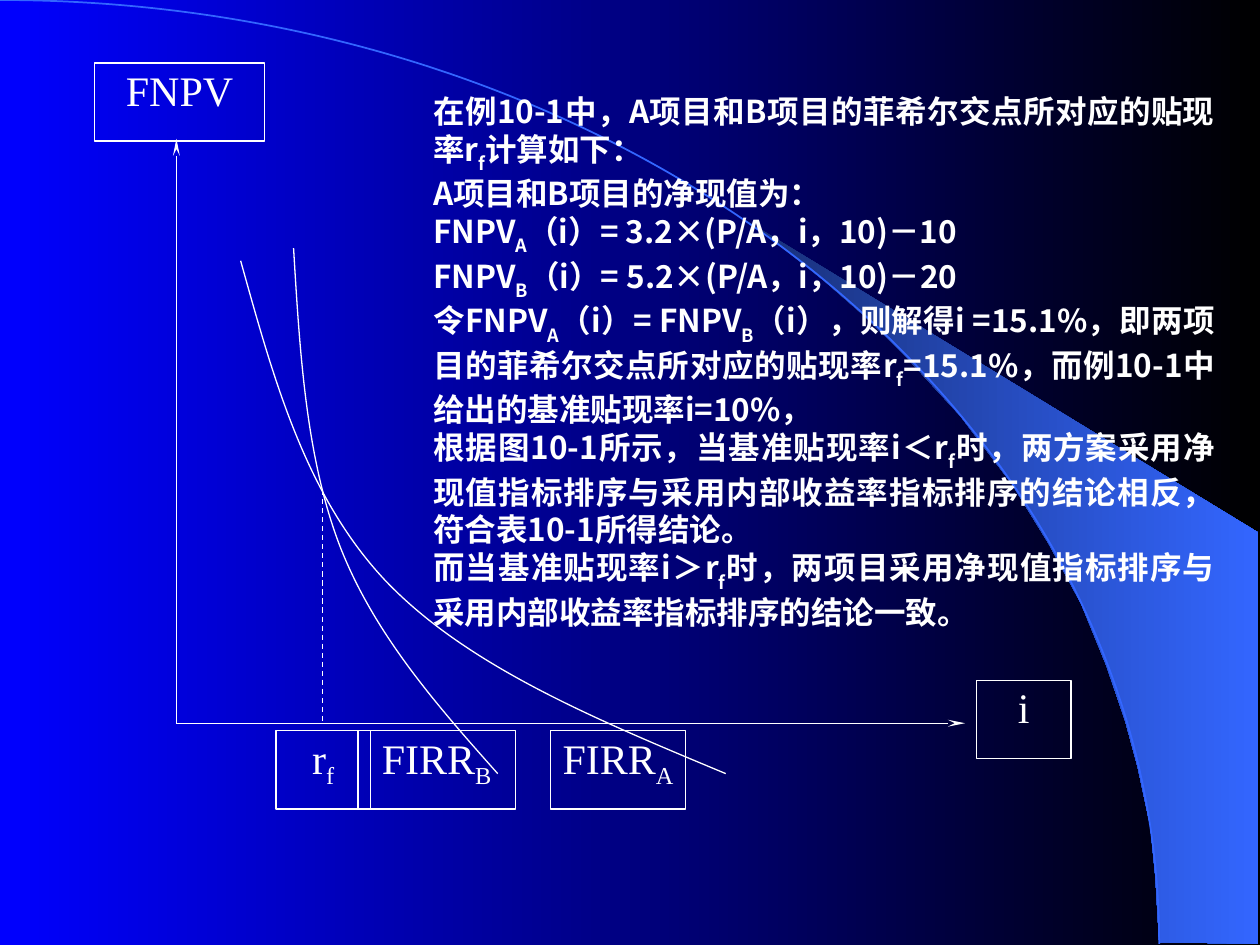
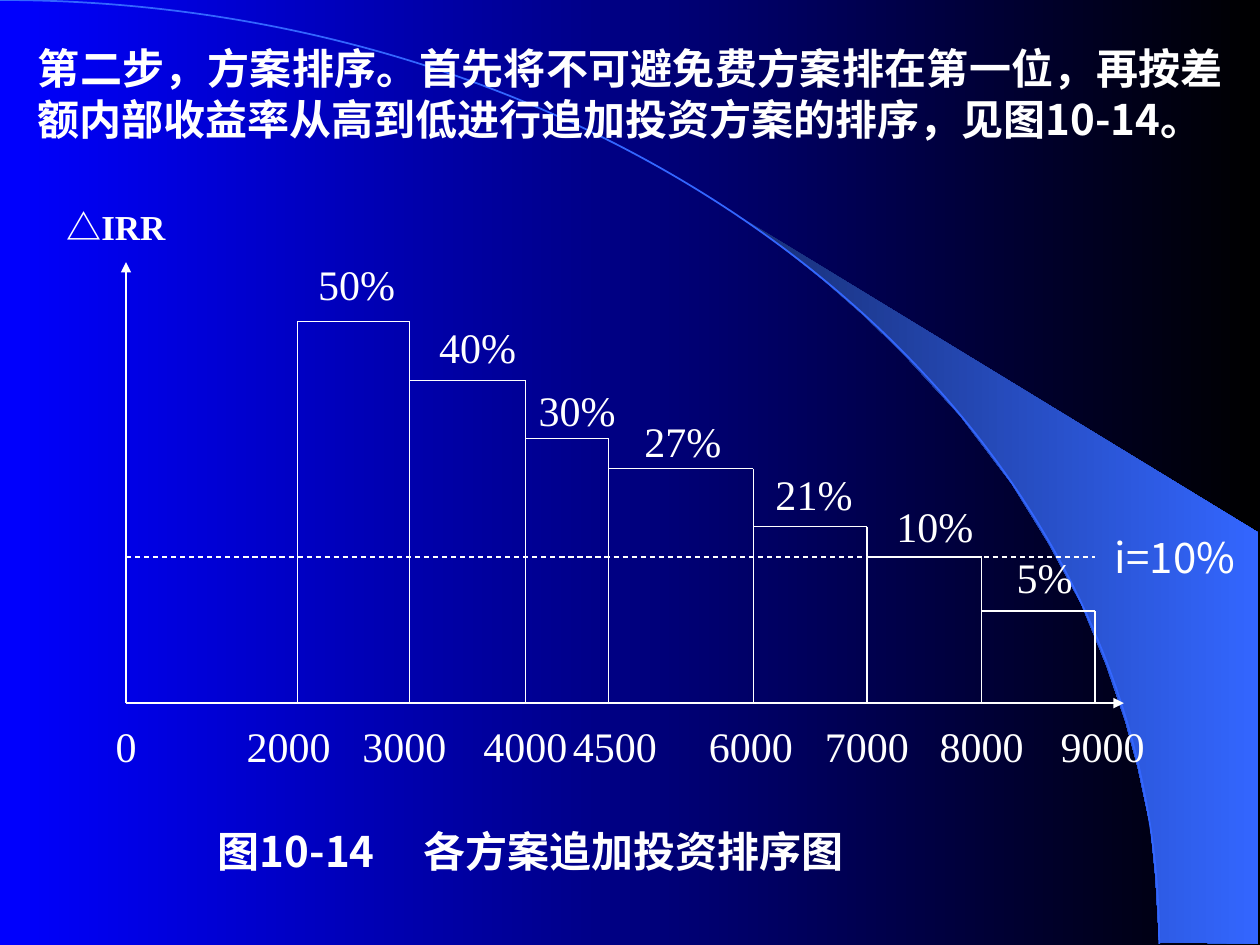
from dataclasses import dataclass

from lxml.etree import SubElement
from pptx import Presentation
from pptx.dml.color import RGBColor
from pptx.enum.dml import MSO_LINE
from pptx.enum.shapes import MSO_CONNECTOR, MSO_SHAPE
from pptx.enum.text import MSO_ANCHOR, MSO_AUTO_SIZE, PP_ALIGN
from pptx.oxml.ns import qn
from pptx.util import Inches, Pt


@dataclass(frozen=True)
class Theme:
    white: str = "FFFFFF"
    blue: str = "0000FF"
    black: str = "000000"
    band_dark: str = "182F76"
    band_light: str = "3366FF"
    sans: str = "Noto Sans CJK SC"
    serif: str = "Times New Roman"
    large: int = 24
    axis_title: int = 20
    body: int = 18
    hairline: float = 0.75
    arc_line: float = 1


THEME = Theme()
CENTER, JUSTIFY, LEFT = PP_ALIGN.CENTER, PP_ALIGN.JUSTIFY, PP_ALIGN.LEFT

# Decoration shared by both slides
BAND = [(9.2, 7.48), (9.99, 7.49), (9.99, 4.23), (5.89, 1.73), (6.24, 1.99),
        (6.53, 2.22), (6.85, 2.5), (7.16, 2.8), (7.62, 3.3), (8.03, 3.84),
        (8.32, 4.31), (8.58, 4.79), (8.78, 5.28), (8.93, 5.72), (9.03, 6.09),
        (9.13, 6.56), (9.17, 6.96)]
ARC = [(0, 0), (5.08, 0), (9.2, 3.35), (9.2, 7.49)]

# Slide 1: text between tildes is subscript
FISHER_TEXT = [
    "在例10-1中，A项目和B项目的菲希尔交点所对应的贴现率r~f~计算如下：",
    "A项目和B项目的净现值为：",
    "FNPV~A~（i）= 3.2×(P/A，i，10)－10",
    "FNPV~B~（i）= 5.2×(P/A，i，10)－20",
    "令FNPV~A~（i）= FNPV~B~（i），则解得i =15.1%，即两项目的菲希尔交点所对应的贴现率r~f~"
    "=15.1%，而例10-1中给出的基准贴现率i=10%，",
    "根据图10-1所示，当基准贴现率i＜r~f~时，两方案采用净现值指标排序与采用内部收益率指标排序的"
    "结论相反，符合表10-1所得结论。",
    "而当基准贴现率i＞r~f~时，两项目采用净现值指标排序与采用内部收益率指标排序的结论一致。",
]
NPV_LABELS = [  # text, left, top, width, side inset
    ("i", 7.75, 5.4, 0.75, 0.02),
    ("FNPV", 0.75, 0.5, 1.35, 0.02),
    ("r~f~", 2.19, 5.8, 0.75, 0.02),
    ("FIRR~B~", 2.84, 5.8, 1.25, 0),
    ("FIRR~A~", 4.37, 5.8, 1.07, 0),
]
NPV_ORIGIN = (1.4, 5.74)
NPV_AXIS_ENDS = [(7.66, 5.74), (1.4, 1.1)]
FISHER_POINT = (2.56, 3.89)
NPV_CURVES = [
    [(1.91, 2.07), (2.17, 3), (2.42, 3.93), (3.06, 4.61),
     (3.71, 5.29), (4.73, 5.71), (5.76, 6.14)],
    [(2.33, 1.97), (2.38, 2.81), (2.43, 3.64), (2.7, 4.34),
     (2.97, 5.03), (3.46, 5.59), (3.95, 6.14)],
]

# Slide 2
RANKING_TITLE = ("第二步，方案排序。首先将不可避免费方案排在第一位，"
                 "再按差额内部收益率从高到低进行追加投资方案的排序，见图10-14。")
CAPTION = "图10-14\t各方案追加投资排序图"
CAPTION_TAB = 1.63
RANK_ORIGIN = (1, 5.58)
RANK_AXIS_ENDS = [(1, 2.08), (8.92, 5.58)]
INVESTMENTS = [  # amount, label centre
    ("0", 1), ("2000", 2.29), ("3000", 3.21), ("4000", 4.17), ("4500", 4.88),
    ("6000", 5.96), ("7000", 6.88), ("8000", 7.79), ("9000", 8.75)]
FIRST_EDGE = 2.36
STEPS = [  # rate, right edge, level, label centre, label top
    ("50%", 3.25, 2.55, 2.83, 2), ("40%", 4.17, 3.02, 3.79, 2.5),
    ("30%", 4.83, 3.48, 4.58, 3), ("27%", 5.98, 3.72, 5.42, 3.25),
    ("21%", 6.88, 4.18, 6.46, 3.67), ("10%", 7.79, 4.42, 7.42, 3.92),
    ("5%", 8.69, 4.85, 8.29, 4.33)]
BASE_RATE_LEVEL = 4.42
LABEL_WIDTH, LABEL_HEIGHT = 0.92, 0.5


def rgb(value):
    return RGBColor.from_string(value)


def set_gradient(fill, start, end):
    fill.gradient()
    fill.gradient_angle = 0
    for stop, colour in zip(fill.gradient_stops, (start, end)):
        stop.color.rgb = rgb(colour)


def style_line(line, colour=THEME.white, width=THEME.hairline):
    line.color.rgb = rgb(colour)
    line.width = Pt(width)


def add_run(paragraph, text, font, size, bold=False, subscript=0):
    run = paragraph.add_run()
    run.text = text
    run.font.size, run.font.bold, run.font.name = Pt(size), bold, font
    run.font.color.rgb = rgb(THEME.white)
    properties = run.font._element
    SubElement(properties, qn("a:ea")).set("typeface", font)
    if subscript:
        properties.set("baseline", str(-1000 * subscript))


def write(frame, paragraphs, font, size, align, bold=False, drop=30):
    """Fill a frame, lowering text between tildes by drop percent."""
    frame.word_wrap = True
    frame.auto_size = MSO_AUTO_SIZE.NONE
    frame.vertical_anchor = MSO_ANCHOR.TOP
    for index, text in enumerate(paragraphs):
        paragraph = frame.add_paragraph() if index else frame.paragraphs[0]
        paragraph.alignment = align
        paragraph._p.get_or_add_pPr().set("hangingPunct", "0")
        for part, piece in enumerate(text.split("~")):
            if piece:
                add_run(paragraph, piece, font, size, bold, drop * (part % 2))


def add_text(slide, box, paragraphs, font=THEME.serif, size=THEME.large,
             align=CENTER, bold=False):
    frame = slide.shapes.add_textbox(*map(Inches, box)).text_frame
    write(frame, paragraphs, font, size, align, bold)
    return frame


def add_label(slide, text, centre, top):
    add_text(slide, (centre - LABEL_WIDTH / 2, top, LABEL_WIDTH, LABEL_HEIGHT), [text])


def add_line(slide, start, end, dashed=False, arrow=None):
    connector = slide.shapes.add_connector(
        MSO_CONNECTOR.STRAIGHT, *map(Inches, (*start, *end)))
    style_line(connector.line)
    if dashed:
        connector.line.dash_style = MSO_LINE.DASH
    properties = connector._element.spPr
    if arrow:
        head = SubElement(properties.find(qn("a:ln")), qn("a:tailEnd"))
        for key, value in arrow.items():
            head.set(key, value)
    SubElement(properties, qn("a:effectLst"))


def add_outline(slide, points, closed=False):
    start, *rest = [tuple(map(Inches, point)) for point in points]
    builder = slide.shapes.build_freeform(*start)
    builder.add_line_segments(rest, close=closed)
    outline = builder.convert_to_shape()
    outline.shadow.inherit = False
    return outline


def add_curve(slide, controls, colour=THEME.white, width=THEME.hairline):
    """Draw a chain of cubic curves whose neighbours share an end point."""
    curve = add_outline(slide, controls)
    segments = list(curve._element.iter(qn("a:lnTo")))
    for first in range(0, len(segments), 3):
        cubic = SubElement(segments[first].getparent(), qn("a:cubicBezTo"))
        for segment in segments[first:first + 3]:
            cubic.append(segment[0])
            segment.getparent().remove(segment)
    curve.fill.background()
    style_line(curve.line, colour, width)


def add_decoration(slide):
    band = add_outline(slide, BAND, closed=True)
    set_gradient(band.fill, THEME.band_dark, THEME.band_light)
    band.line.fill.background()
    add_curve(slide, ARC, THEME.band_light, THEME.arc_line)


def add_axis_label(slide, text, left, top, width, inset):
    label = slide.shapes.add_shape(
        MSO_SHAPE.RECTANGLE, *map(Inches, (left, top, width, 0.62)))
    label.shadow.inherit = False
    label.fill.background()
    style_line(label.line)
    frame = label.text_frame
    frame.margin_left = frame.margin_right = Inches(inset)
    frame.margin_top = frame.margin_bottom = Inches(0.01)
    write(frame, [text], THEME.serif, THEME.large, CENTER, drop=25)


def build_fisher_slide(prs):
    slide = prs.slides.add_slide(prs.slide_layouts.get_by_name("Blank"))
    add_decoration(slide)
    for end in NPV_AXIS_ENDS:
        add_line(slide, NPV_ORIGIN, end, arrow={"type": "stealth", "w": "sm", "len": "lg"})
    for curve in NPV_CURVES:
        add_curve(slide, curve)
    add_line(slide, FISHER_POINT, (FISHER_POINT[0], NPV_ORIGIN[1]), dashed=True)
    for label in NPV_LABELS:
        add_axis_label(slide, *label)
    add_text(slide, (3.34, 0.68, 6.4, 4.68), FISHER_TEXT,
             THEME.sans, THEME.body, JUSTIFY, bold=True)


def build_ranking_slide(prs):
    slide = prs.slides.add_slide(prs.slide_layouts.get_by_name("Title Only"))
    add_decoration(slide)
    title = slide.shapes.title
    title.left, title.top, title.width, title.height = map(Inches, (0.2, 0.29, 9.61, 0.9))
    write(title.text_frame, [RANKING_TITLE], THEME.sans, THEME.large, JUSTIFY, bold=True)
    title.element.getparent().append(title.element)  # above the arc

    for end in RANK_AXIS_ENDS:
        add_line(slide, RANK_ORIGIN, end, arrow={"type": "triangle"})
    base = RANK_ORIGIN[1]
    left = FIRST_EDGE
    add_line(slide, (left, base), (left, STEPS[0][2]))
    for rate, right, level, centre, top in STEPS:
        add_line(slide, (left, level), (right, level))
        add_line(slide, (right, level), (right, base))
        add_label(slide, rate, centre, top)
        left = right
    add_line(slide, (RANK_ORIGIN[0], BASE_RATE_LEVEL), (left, BASE_RATE_LEVEL), dashed=True)
    for amount, centre in INVESTMENTS:
        add_label(slide, amount, centre, 5.67)

    axis_title = add_text(slide, (0.38, 1.58, 1.08, 0.44), ["△"],
                          THEME.sans, THEME.axis_title, bold=True)
    add_run(axis_title.paragraphs[0], "IRR", THEME.serif, THEME.axis_title, bold=True)
    add_text(slide, (8.75, 4.17, 1.25, 1.11), ["i=10%"], THEME.sans, align=JUSTIFY)
    caption = add_text(slide, (1.06, 6.5, 7.87, 0.5), [CAPTION], THEME.sans,
                       align=LEFT, bold=True)
    caption.margin_left = Inches(0.67)
    tabs = SubElement(caption.paragraphs[0]._p.get_or_add_pPr(), qn("a:tabLst"))
    tab = SubElement(tabs, qn("a:tab"))
    tab.set("pos", str(Inches(CAPTION_TAB)))
    tab.set("algn", "l")


def main():
    prs = Presentation()
    prs.slide_width, prs.slide_height = Inches(10), Inches(7.5)
    set_gradient(prs.slide_master.background.fill, THEME.blue, THEME.black)
    build_fisher_slide(prs)
    build_ranking_slide(prs)
    prs.save("out.pptx")


if __name__ == "__main__":
    main()
